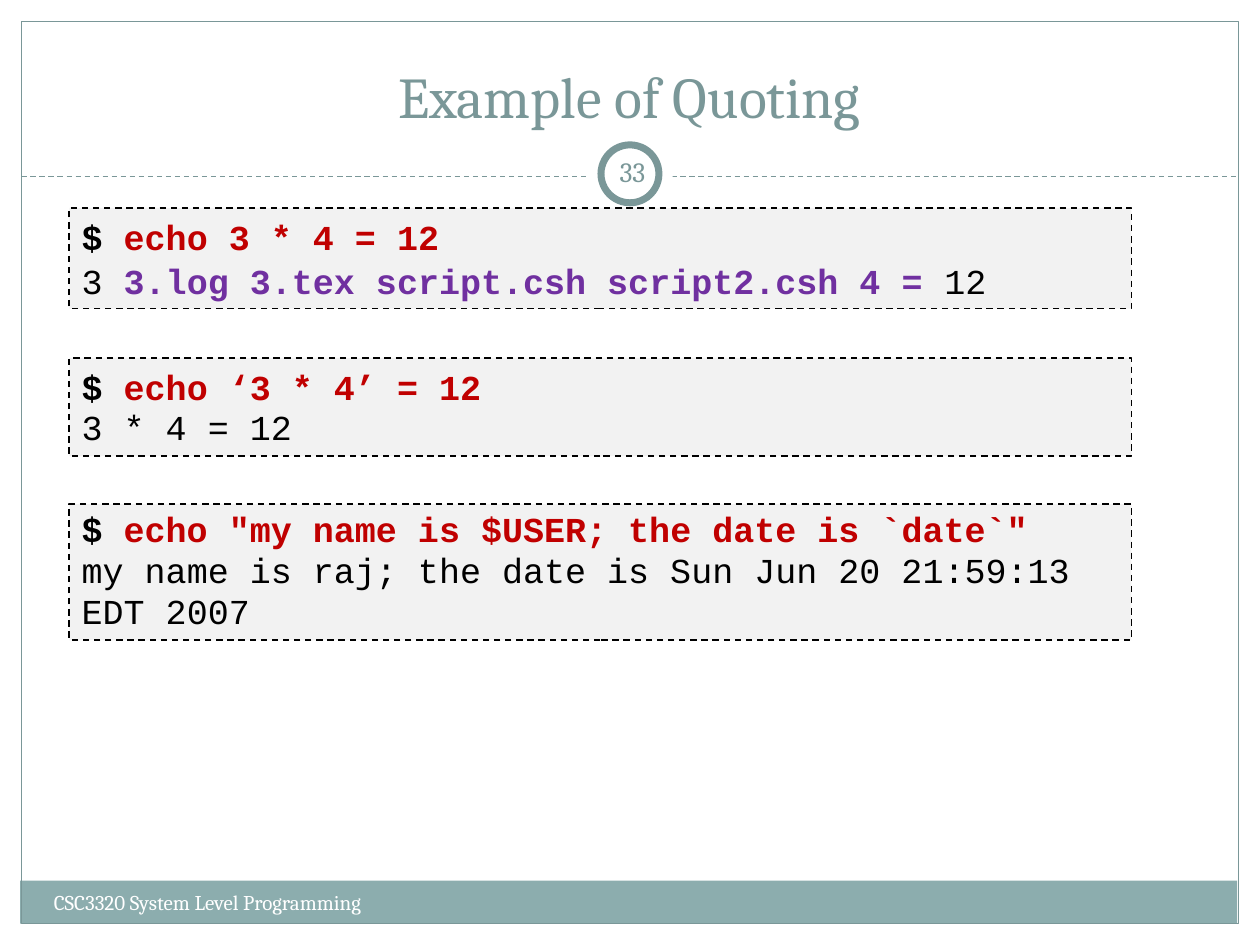
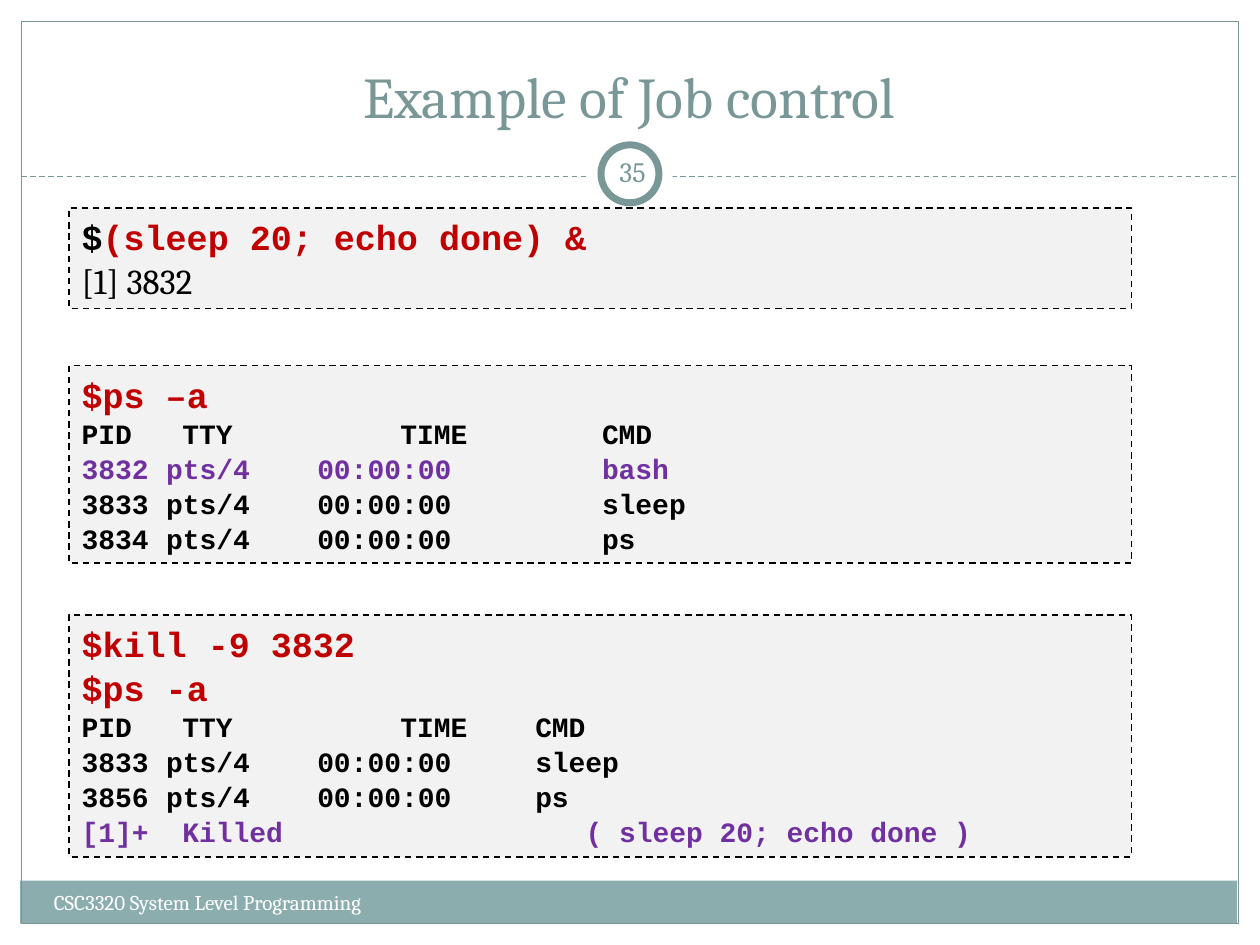
"""Build two lecture slides with shell examples on quoting and job control."""
from lxml import etree
from pptx import Presentation
from pptx.dml.color import RGBColor
from pptx.enum.dml import MSO_LINE
from pptx.enum.shapes import MSO_CONNECTOR, MSO_SHAPE
from pptx.enum.text import MSO_ANCHOR, MSO_AUTO_SIZE, PP_ALIGN
from pptx.oxml.ns import qn
from pptx.util import Inches, Pt

RECT, OVAL = MSO_SHAPE.RECTANGLE, MSO_SHAPE.OVAL
DASH = MSO_LINE.DASH
TOP, MIDDLE, BOTTOM = MSO_ANCHOR.TOP, MSO_ANCHOR.MIDDLE, MSO_ANCHOR.BOTTOM
LEFT, CENTER = PP_ALIGN.LEFT, PP_ALIGN.CENTER
SERIF, MONO = "Cambria", "Courier New"

THEME = {
    "accent": "7A9798", "band": "8CADAE", "paper": "FFFFFF",
    "code_fill": "F2F2F2", "code_line": "000000",
    "text": {
        "title": (SERIF, 33, False, "7A9798"),
        "footer": (SERIF, 12, False, "FFFFFF"),
        "number": (SERIF, 16, False, "7A9798"),
        "prompt": (MONO, 20, True, "000000"),
        "command": (MONO, 20, True, "C00000"),
        "output": (MONO, 20, False, "000000"),
        "match": (MONO, 20, True, "7030A0"),
        "job": (SERIF, 20, False, "000000"),
        "row": (MONO, 16, True, "000000"),
        "marked_row": (MONO, 16, True, "7030A0"),
    },
}
FOOTER = "CSC3320 System Level Programming"
LOOSE, TIGHT = 1.04, 0.97
HEADER_TABS, PROCESS_TABS = (0.8, 2.53), (0.67, 1.87)
WIDE_CMD, NEAR_CMD = (4.13,), (3.6,)

SLIDES = [
    ("Example of Quoting", "33", [
        (1.65, 0.8, [
            (LOOSE, (), [("$ ", "prompt"), ("echo 3 * 4 = 12", "command")]),
            (LOOSE, (), [("3 ", "output"),
                         ("3.log 3.tex script.csh script2.csh 4 =", "match"),
                         (" 12", "output")]),
        ]),
        (2.84, 0.78, [
            (LOOSE, (), [("$ ", "prompt"), ("echo ‘3 * 4’ = 12", "command")]),
            (TIGHT, (), [("3 * 4 = 12", "output")]),
        ]),
        (4, 1.08, [
            (TIGHT, (), [("$", "prompt"),
                         (' echo "my name is $USER; the date is `date`"', "command")]),
            (TIGHT, (), [("my name is raj; the date is Sun Jun 20 21:59:13 EDT 2007",
                          "output")]),
        ]),
    ]),
    ("Example of Job control", "35", [
        (1.65, 0.8, [
            (LOOSE, (), [("$", "prompt"), ("(sleep 20; echo done) &", "command")]),
            (LOOSE, (), [("[1] 3832", "job")]),
        ]),
        (2.9, 1.57, [
            (LOOSE, (), [("$ps –a", "command")]),
            (LOOSE, HEADER_TABS + WIDE_CMD, [("PID\tTTY\tTIME\tCMD", "row")]),
            (LOOSE, PROCESS_TABS + WIDE_CMD, [("3832\tpts/4\t00:00:00\tbash", "marked_row")]),
            (LOOSE, PROCESS_TABS + WIDE_CMD, [("3833\tpts/4\t00:00:00\tsleep", "row")]),
            (LOOSE, PROCESS_TABS + WIDE_CMD, [("3834\tpts/4\t00:00:00\tps", "row")]),
        ]),
        (4.88, 1.92, [
            (LOOSE, (), [("$kill -9 3832", "command")]),
            (LOOSE, (), [("$ps -a", "command")]),
            (LOOSE, HEADER_TABS + NEAR_CMD, [("PID\tTTY\tTIME\tCMD", "row")]),
            (LOOSE, PROCESS_TABS + NEAR_CMD, [("3833\tpts/4\t00:00:00\tsleep", "row")]),
            (LOOSE, PROCESS_TABS + NEAR_CMD, [("3856\tpts/4\t00:00:00\tps", "row")]),
            (LOOSE, (0.8, 4), [("[1]+\tKilled\t( sleep 20; echo done )", "marked_row")]),
        ]),
    ]),
]


def draw(slide, kind, box, fill=None, line=None, width=0.75):
    """Add a flat preset shape with the given fill and outline."""
    shape = slide.shapes.add_shape(kind, *map(Inches, box))
    shape.shadow.inherit = False
    for part, colour in ((shape.fill, fill), (shape.line.fill, line)):
        if colour:
            part.solid()
            part.fore_color.rgb = RGBColor.from_string(colour)
        else:
            part.background()
    if line:
        shape.line.width = Pt(width)
    return shape


def write(shape, lines, anchor=TOP, align=LEFT, side=0.1):
    """Fill a shape with lines of (spacing, tab stops, styled runs)."""
    frame = shape.text_frame
    frame_format = {
        "word_wrap": True, "auto_size": MSO_AUTO_SIZE.NONE, "vertical_anchor": anchor,
        "margin_left": Inches(side), "margin_right": Inches(side),
        "margin_top": Inches(0.05), "margin_bottom": Inches(0.05),
    }
    for key, value in frame_format.items():
        setattr(frame, key, value)
    for index, (spacing, tabs, runs) in enumerate(lines):
        paragraph = frame.add_paragraph() if index else frame.paragraphs[0]
        paragraph.alignment = align
        paragraph.line_spacing = spacing
        if tabs:
            stops = etree.SubElement(paragraph._p.get_or_add_pPr(), qn("a:tabLst"))
            for position in tabs:
                etree.SubElement(stops, qn("a:tab"), pos=str(Inches(position)), algn="l")
        for text, style in runs:
            name, size, bold, colour = THEME["text"][style]
            run = paragraph.add_run()
            run.text = text
            for key, value in {"name": name, "size": Pt(size), "bold": bold}.items():
                setattr(run.font, key, value)
            run.font.color.rgb = RGBColor.from_string(colour)


deck = Presentation()
deck.slide_width, deck.slide_height = Inches(10), Inches(7.5)

for heading, number, examples in SLIDES:
    slide = deck.slides.add_slide(deck.slide_layouts[5])
    draw(slide, RECT, (0.16, 6.99, 9.66, 0.34), fill=THEME["band"])
    draw(slide, RECT, (0.17, 0.17, 9.66, 7.16), line=THEME["accent"])

    divider = slide.shapes.add_connector(
        MSO_CONNECTOR.STRAIGHT, Inches(0.17), Inches(1.4), Inches(9.83), Inches(1.4))
    divider.line.color.rgb = RGBColor.from_string(THEME["accent"])
    divider.line.width = Pt(0.75)
    divider.line.dash_style = DASH
    etree.SubElement(divider._element.spPr, qn("a:effectLst"))

    draw(slide, OVAL, (4.67, 1.05, 0.67, 0.67), fill=THEME["paper"])
    draw(slide, OVAL, (4.77, 1.15, 0.46, 0.46), THEME["paper"], THEME["accent"], 4)

    title = slide.shapes.title
    title.left, title.top, title.width, title.height = map(Inches, (0.33, 0.25, 9.33, 0.83))
    write(title, [(1, (), [(heading, "title")])], BOTTOM, CENTER)
    footer = slide.shapes.add_textbox(*map(Inches, (0.33, 7.01, 3.92, 0.4)))
    write(footer, [(1, (), [(FOOTER, "footer")])])
    page = slide.shapes.add_textbox(*map(Inches, (4.77, 1.12, 0.5, 0.48)))
    write(page, [(1, (), [(number, "number")])], MIDDLE, CENTER, 0.05)

    for top, height, lines in examples:
        example = draw(slide, RECT, (0.55, top, 8.43, height),
                       THEME["code_fill"], THEME["code_line"], 0.9)
        example.line.dash_style = DASH
        write(example, lines)

deck.save("out.pptx")
